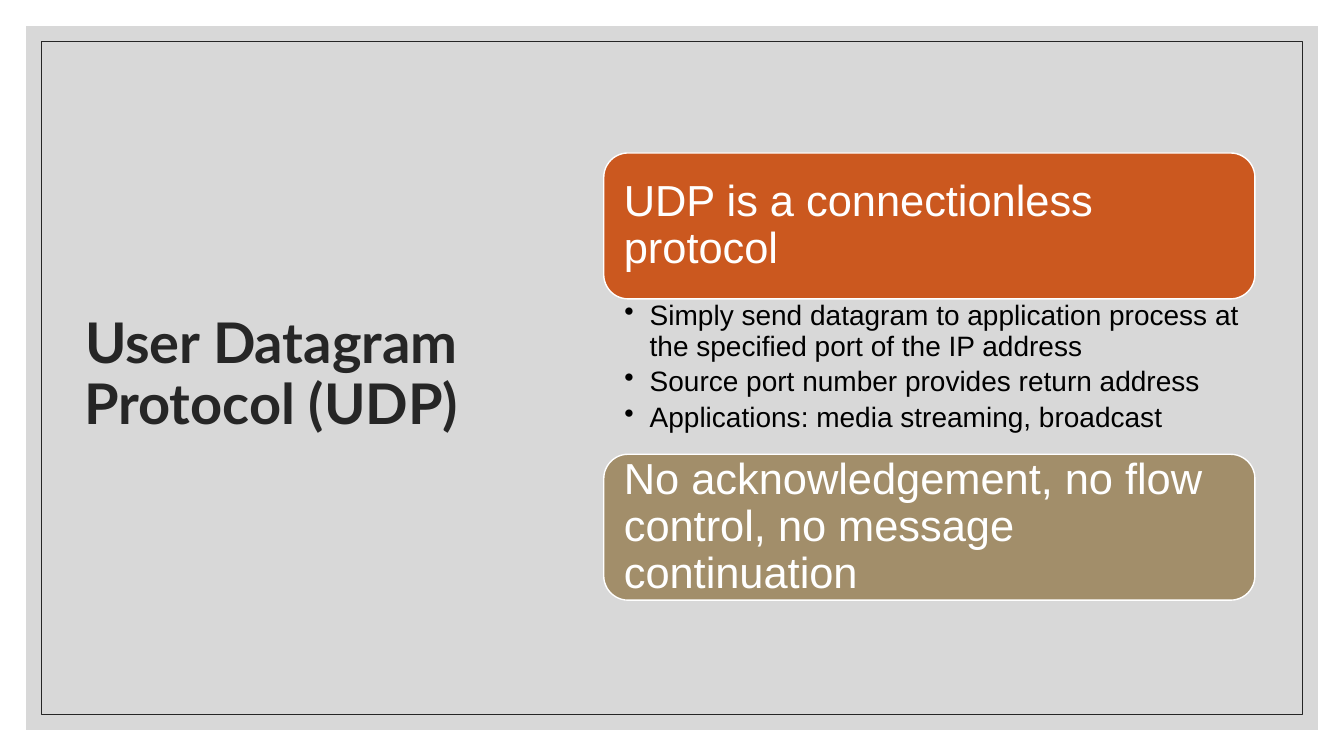
import dataclasses

import lxml.etree
import pptx
import pptx.dml.color
import pptx.enum.shapes
import pptx.enum.text
import pptx.oxml.ns
import pptx.util

Pt = pptx.util.Pt
Shape = pptx.enum.shapes.MSO_SHAPE
Anchor = pptx.enum.text.MSO_ANCHOR
Align = pptx.enum.text.PP_ALIGN


@dataclasses.dataclass(frozen=True)
class Theme:
    panel: str = "BFBFBF"
    ink: str = "262626"
    orange: str = "CB581F"
    tan: str = "A28E6A"
    white: str = "FFFFFF"
    black: str = "000000"
    title_font: str = "Lato"
    body_font: str = "Arial"
    title_size: int = 40
    card_size: int = 31
    bullet_size: int = 20
    line_spacing: float = 0.9


THEME = Theme()
PAGE_WIDTH, PAGE_HEIGHT = 960, 540
COLUMN_LEFT, COLUMN_WIDTH = 431.3, 465.1
CARD_HEIGHT = 104.2


def color(value):
    return pptx.dml.color.RGBColor.from_string(value)


def add_shape(page, kind, left, top, width, height, fill=None, line=None, weight=1):
    shape = page.shapes.add_shape(kind, Pt(left), Pt(top), Pt(width), Pt(height))
    shape.shadow.inherit = False
    if fill:
        shape.fill.solid()
        shape.fill.fore_color.rgb = color(fill)
    else:
        shape.fill.background()
    if line:
        shape.line.color.rgb = color(line)
        shape.line.width = Pt(weight)
    else:
        shape.line.fill.background()
    return shape


def add_frame(page, margin, **style):
    return add_shape(page, Shape.RECTANGLE, margin, margin,
                     PAGE_WIDTH - 2 * margin, PAGE_HEIGHT - 2 * margin, **style)


def set_opacity(shape, percent):
    tag = pptx.oxml.ns.qn
    fill = shape.fill._xPr.find(tag("a:solidFill"))
    lxml.etree.SubElement(fill[0], tag("a:alpha"), val=str(percent * 1000))


def set_frame(box, anchor, left, top, right, bottom):
    frame = box.text_frame
    frame.word_wrap = True
    frame.vertical_anchor = anchor
    frame.margin_left, frame.margin_top = Pt(left), Pt(top)
    frame.margin_right, frame.margin_bottom = Pt(right), Pt(bottom)
    return frame


def write(para, text, size, font, ink, bold=False, align=Align.LEFT):
    para.alignment = align
    para.line_spacing = THEME.line_spacing
    span = para.add_run()
    span.text = text
    span.font.size = Pt(size)
    span.font.name = font
    span.font.bold = bold
    span.font.color.rgb = color(ink)


def add_bullet(para, indent):
    properties = para._p.get_or_add_pPr()
    properties.set("marL", str(Pt(indent)))
    properties.set("indent", str(-Pt(indent)))
    lxml.etree.SubElement(properties, pptx.oxml.ns.qn("a:buChar"), char="•")


def add_title(page, text):
    box = page.shapes.add_textbox(Pt(45.4), Pt(43.9), Pt(296.6), Pt(449.3))
    frame = set_frame(box, Anchor.MIDDLE, 7.2, 3.6, 7.2, 3.6)
    write(frame.paragraphs[0], text, THEME.title_size, THEME.title_font,
          THEME.ink, bold=True, align=Align.CENTER)


def add_card(page, top, fill, text):
    card = add_shape(page, Shape.ROUNDED_RECTANGLE, COLUMN_LEFT, top,
                     COLUMN_WIDTH, CARD_HEIGHT, fill=fill, line=THEME.white)
    frame = set_frame(card, Anchor.MIDDLE, 9.3, 9.3, 9.3, 9.3)
    write(frame.paragraphs[0], text, THEME.card_size, THEME.body_font, THEME.white)


def add_bullets(page, top, height, items):
    box = page.shapes.add_textbox(Pt(COLUMN_LEFT), Pt(top), Pt(COLUMN_WIDTH), Pt(height))
    frame = set_frame(box, Anchor.TOP, 14.8, 2, 11.2, 2)
    for index, item in enumerate(items):
        para = frame.add_paragraph() if index else frame.paragraphs[0]
        add_bullet(para, 18)
        para.space_after = Pt(4)
        write(para, item, THEME.bullet_size, THEME.body_font, THEME.black)


def main():
    deck = pptx.Presentation()
    deck.slide_width, deck.slide_height = Pt(PAGE_WIDTH), Pt(PAGE_HEIGHT)
    page = deck.slides.add_slide(deck.slide_layouts[6])

    set_opacity(add_frame(page, 18.7, fill=THEME.panel), 60)
    add_frame(page, 29.5, line=THEME.ink, weight=0.5)
    add_title(page, "User Datagram Protocol (UDP)")
    add_card(page, 109.3, THEME.orange, "UDP is a connectionless protocol")
    add_bullets(page, 213.5, 111, [
        "Simply send datagram to application process at the specified port of the IP address",
        "Source port number provides return address",
        "Applications: media streaming, broadcast",
    ])
    add_card(page, 324.5, THEME.tan,
             "No acknowledgement, no flow control, no message continuation")
    deck.save("out.pptx")


if __name__ == "__main__":
    main()
